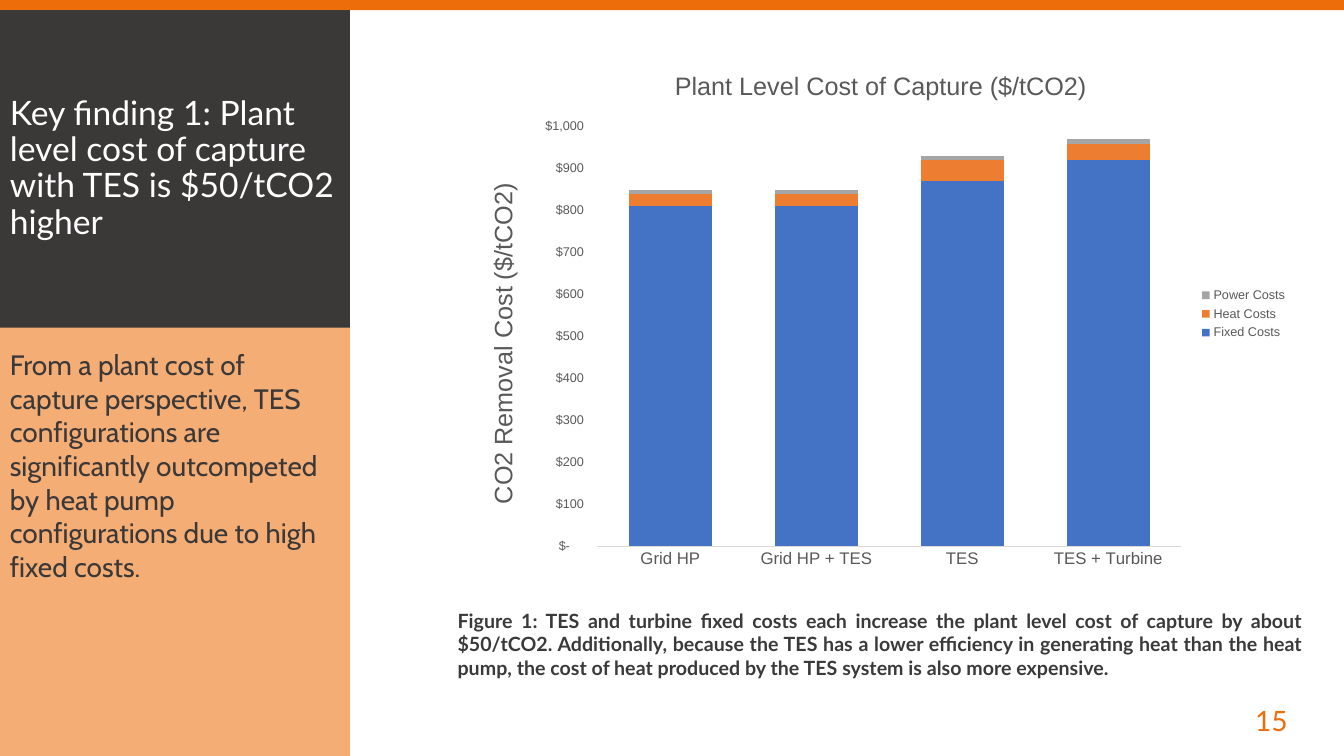
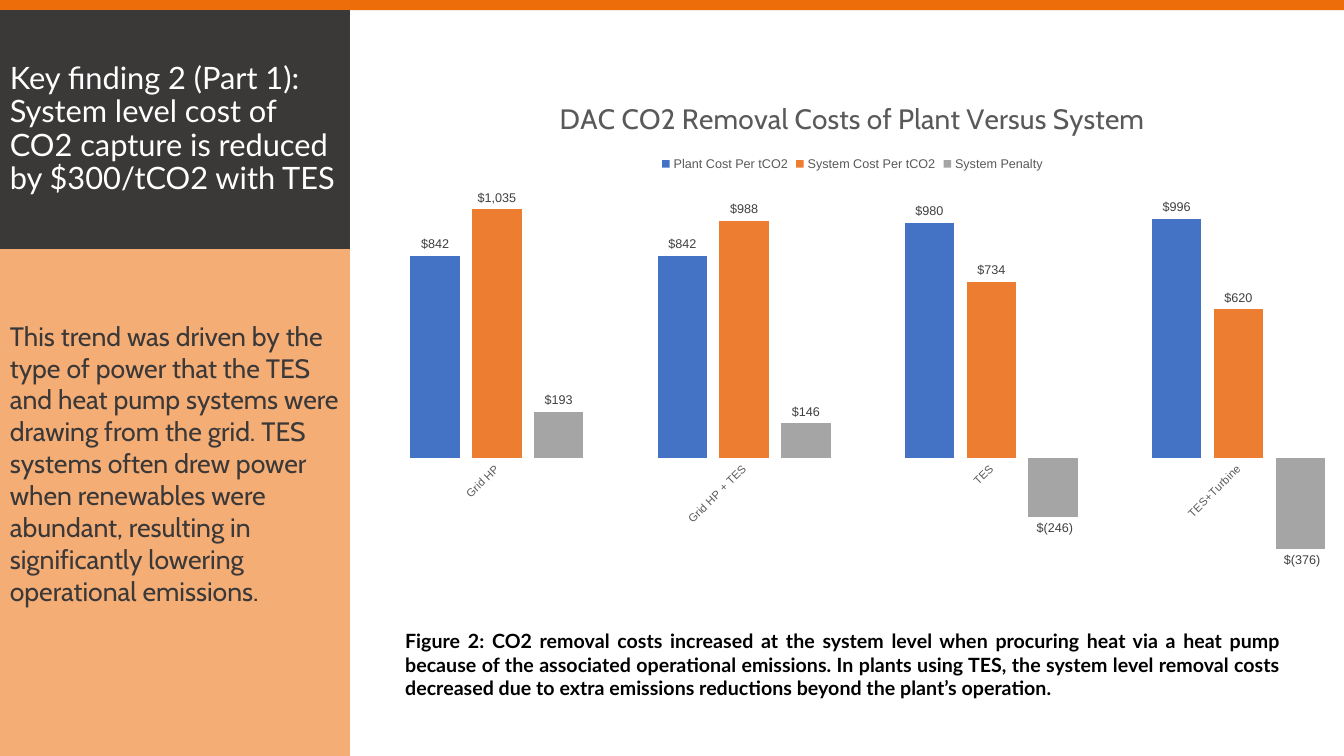
from lxml import etree
from pptx import Presentation
from pptx.chart.data import CategoryChartData
from pptx.dml.color import RGBColor
from pptx.enum.chart import XL_CHART_TYPE, XL_LABEL_POSITION, XL_LEGEND_POSITION, XL_TICK_MARK
from pptx.enum.shapes import MSO_SHAPE
from pptx.enum.text import MSO_ANCHOR, PP_ALIGN
from pptx.oxml.ns import qn
from pptx.util import Inches, Pt

COLORS = {
    "orange": "EE6D0B", "charcoal": "3B3838", "caption": "3A3A3A",
    "white": "FFFFFF", "black": "000000", "axis text": "595959",
    "label": "404040", "axis line": "D9D9D9",
}
SERIES_COLORS = ("4472C4", "ED7D31", "A5A5A5")
DOLLARS = r'_("$"* #,##0_);_("$"* \(#,##0\);_("$"* "-"??_);_(@_)'
SLIDE_WIDTH, SLIDE_HEIGHT = 13.33, 7.5
BAND_HEIGHT, PANEL_WIDTH = 0.1, 3.47


def rgb(color):
    return RGBColor.from_string(COLORS.get(color, color))


def style_font(font, size, color, name="Arial", bold=False):
    font.size, font.name, font.bold = Pt(size), name, bold
    font.color.rgb = rgb(color)


class Deck:
    def __init__(self):
        self.prs = Presentation()
        self.prs.slide_width = Inches(SLIDE_WIDTH)
        self.prs.slide_height = Inches(SLIDE_HEIGHT)
        self.slide = None

    def new_slide(self):
        self.slide = self.prs.slides.add_slide(self.prs.slide_layouts[6])
        self.block(0, 0, SLIDE_WIDTH, BAND_HEIGHT, "orange")

    def block(self, left, top, width, height, color, opacity=None):
        block = self.slide.shapes.add_shape(
            MSO_SHAPE.RECTANGLE, Inches(left), Inches(top), Inches(width), Inches(height))
        block.shadow.inherit = False
        block.line.fill.background()
        block.fill.solid()
        block.fill.fore_color.rgb = rgb(color)
        if opacity:
            tint = block.element.spPr.find(qn("a:solidFill"))[0]
            etree.SubElement(tint, qn("a:alpha")).set("val", str(opacity * 1000))
        return block

    def set_text(self, shape, text, size, color, name, anchor=MSO_ANCHOR.MIDDLE,
                 align=PP_ALIGN.LEFT, bold=False):
        frame = shape.text_frame
        frame.word_wrap = True
        frame.vertical_anchor = anchor
        frame.text = text
        paragraph = frame.paragraphs[0]
        paragraph.alignment = align
        style_font(paragraph.font, size, color, name, bold)
        return frame

    def text_box(self, left, top, width, height, *text, **style):
        box = self.slide.shapes.add_textbox(
            Inches(left), Inches(top), Inches(width), Inches(height))
        return self.set_text(box, *text, **style)

    def side_panel(self, finding, finding_size, finding_height,
                   explanation, explanation_size, explanation_top):
        """Tinted full-height panel with a dark heading block over its top."""
        panel = self.block(0, 0, PANEL_WIDTH, SLIDE_HEIGHT, "orange", opacity=56)
        frame = self.set_text(panel, explanation, explanation_size, "charcoal", "Cabin",
                              anchor=MSO_ANCHOR.TOP)
        frame.margin_top = Inches(explanation_top)
        heading = self.block(0, BAND_HEIGHT, PANEL_WIDTH, finding_height, "charcoal")
        frame = self.set_text(heading, finding, finding_size, "white", "Lato")
        frame.paragraphs[0].line_spacing = 0.9

    def caption(self, left, top, width, text, color):
        frame = self.text_box(left, top, width, 0.91, text, 14, color, "Lato",
                              anchor=MSO_ANCHOR.TOP, align=PP_ALIGN.JUSTIFY, bold=True)
        frame.margin_top = frame.margin_bottom = Inches(0.1)

    def page_number(self, number):
        self.text_box(9.87, 6.95, 3, 0.4, number, 20, "orange", "Lato",
                      align=PP_ALIGN.RIGHT)

    def column_chart(self, kind, box, title, categories, series, gap, overlap,
                     value_range, legend_position, category_size,
                     title_size=18, title_font="Arial"):
        chart_data = CategoryChartData(number_format=DOLLARS)
        chart_data.categories = categories
        for name, costs in series.items():
            chart_data.add_series(name, costs)
        chart = self.slide.shapes.add_chart(kind, *map(Inches, box), chart_data).chart
        style_font(chart.font, 10, "black")

        chart.has_title = True
        chart.chart_title.include_in_layout = False
        heading = chart.chart_title.text_frame
        heading.text = title
        style_font(heading.paragraphs[0].font, title_size, "axis text", title_font)

        chart.has_legend = True
        chart.legend.position = legend_position
        chart.legend.include_in_layout = False
        style_font(chart.legend.font, 9, "axis text")

        plot = chart.plots[0]
        plot.gap_width, plot.overlap, plot.vary_by_categories = gap, overlap, False
        for column, color in zip(plot.series, SERIES_COLORS):
            column.invert_if_negative = False
            column.format.fill.solid()
            column.format.fill.fore_color.rgb = rgb(color)

        category_axis, value_axis = chart.category_axis, chart.value_axis
        category_axis.major_tick_mark = XL_TICK_MARK.NONE
        style_font(category_axis.tick_labels.font, category_size, "axis text")
        value_axis.minimum_scale, value_axis.maximum_scale = value_range
        value_axis.has_major_gridlines = False
        value_axis.format.line.fill.background()
        return chart

    def show_value_axis(self, chart, title, step):
        value_axis, axis_line = chart.value_axis, chart.category_axis.format.line
        axis_line.color.rgb, axis_line.width = rgb("axis line"), Pt(0.75)
        value_axis.major_unit = step
        value_axis.major_tick_mark = XL_TICK_MARK.OUTSIDE
        value_axis.tick_labels.number_format = DOLLARS
        value_axis.tick_labels.number_format_is_linked = False
        style_font(value_axis.tick_labels.font, 9, "axis text")
        frame = value_axis.axis_title.text_frame
        frame.text = title
        style_font(frame.paragraphs[0].font, 18, "axis text")

    def label_columns(self, chart):
        """Replace the value axis with a figure at the end of each column."""
        chart.value_axis.visible = False
        chart.category_axis.format.line.fill.background()
        for column in chart.plots[0].series:
            labels = column.data_labels
            labels.show_value = True
            labels.position = XL_LABEL_POSITION.OUTSIDE_END
            labels.number_format = DOLLARS
            labels.number_format_is_linked = False
            style_font(labels.font, 9, "label")

    def tilt_categories(self, chart, degrees):
        body = chart.category_axis._element.find(qn("c:txPr")).find(qn("a:bodyPr"))
        body.set("rot", str(degrees * 60000))
        body.set("vert", "horz")

    def place_plot(self, chart, x, y, w, h):
        """Fix the inner plot area, in fractions of the chart."""
        plot_area = chart._chartSpace.chart.plotArea
        for old in plot_area.findall(qn("c:layout")):
            plot_area.remove(old)
        layout = etree.Element(qn("c:layout"))
        plot_area.insert(0, layout)
        manual = etree.SubElement(layout, qn("c:manualLayout"))
        settings = {"layoutTarget": "inner", "xMode": "edge", "yMode": "edge",
                    "x": x, "y": y, "w": w, "h": h}
        for tag, setting in settings.items():
            etree.SubElement(manual, qn(f"c:{tag}")).set("val", str(setting))


def plant_cost_slide(deck):
    deck.new_slide()
    chart = deck.column_chart(
        XL_CHART_TYPE.COLUMN_STACKED, (4.6, 0.49, 8.27, 5.25),
        "Plant Level Cost of Capture ($/tCO2)",
        ["Grid HP", "Grid HP + TES", "TES", "TES + Turbine"],
        {"Fixed Costs": (810, 810, 870, 920),
         "Heat Costs": (30, 30, 50, 40),
         "Power Costs": (10, 10, 10, 10)},
        gap=75, overlap=100, value_range=(0, 1000),
        legend_position=XL_LEGEND_POSITION.RIGHT, category_size=12)
    deck.show_value_axis(chart, "CO2 Removal Cost ($/tCO2)", step=100)
    deck.caption(
        4.44, 5.94, 8.58,
        "Figure 1: TES and turbine fixed costs each increase the plant level cost of "
        "capture by about $50/tCO2. Additionally, because the TES has a lower efficiency "
        "in generating heat than the heat pump, the cost of heat produced by the TES "
        "system is also more expensive.", "caption")
    deck.side_panel(
        "Key finding 1: Plant level cost of capture with TES is $50/tCO2 higher", 24, 3.15,
        "From a plant cost of capture perspective, TES configurations are significantly "
        "outcompeted by heat pump configurations due to high fixed costs.", 20, 3.45)
    deck.page_number("15")


def system_cost_slide(deck):
    deck.new_slide()
    chart = deck.column_chart(
        XL_CHART_TYPE.COLUMN_CLUSTERED, (3.4, 0.77, 10.11, 5.37),
        "DAC CO2 Removal Costs of Plant Versus System",
        ["Grid HP", "Grid HP + TES", "TES", "TES+Turbine"],
        {"Plant Cost Per tCO2": (842, 842, 980, 996),
         "System Cost Per tCO2": (1035, 988, 734, 620),
         "System Penalty": (193, 146, -246, -376)},
        gap=150, overlap=-25, value_range=(-600, 1200),
        legend_position=XL_LEGEND_POSITION.TOP, category_size=8,
        title_size=20, title_font="Cabin")
    deck.label_columns(chart)
    deck.tilt_categories(chart, -45)
    deck.place_plot(chart, 0.03, 0.17, 0.97, 0.8)
    deck.caption(
        3.92, 6.14, 8.88,
        "Figure 2: CO2 removal costs increased at the system level when procuring heat via "
        "a heat pump because of the associated operational emissions. In plants using TES, "
        "the system level removal costs decreased due to extra emissions reductions beyond "
        "the plant’s operation.", "black")
    deck.side_panel(
        "Key finding 2 (Part 1): System level cost of CO2 capture is reduced by "
        "$300/tCO2 with TES", 22, 2.37,
        "This trend was driven by the type of power that the TES and heat pump systems were "
        "drawing from the grid. TES systems often drew power when renewables were abundant, "
        "resulting in significantly lowering operational emissions.", 19, 3.17)


def main():
    deck = Deck()
    plant_cost_slide(deck)
    system_cost_slide(deck)
    deck.prs.save("out.pptx")


if __name__ == "__main__":
    main()
